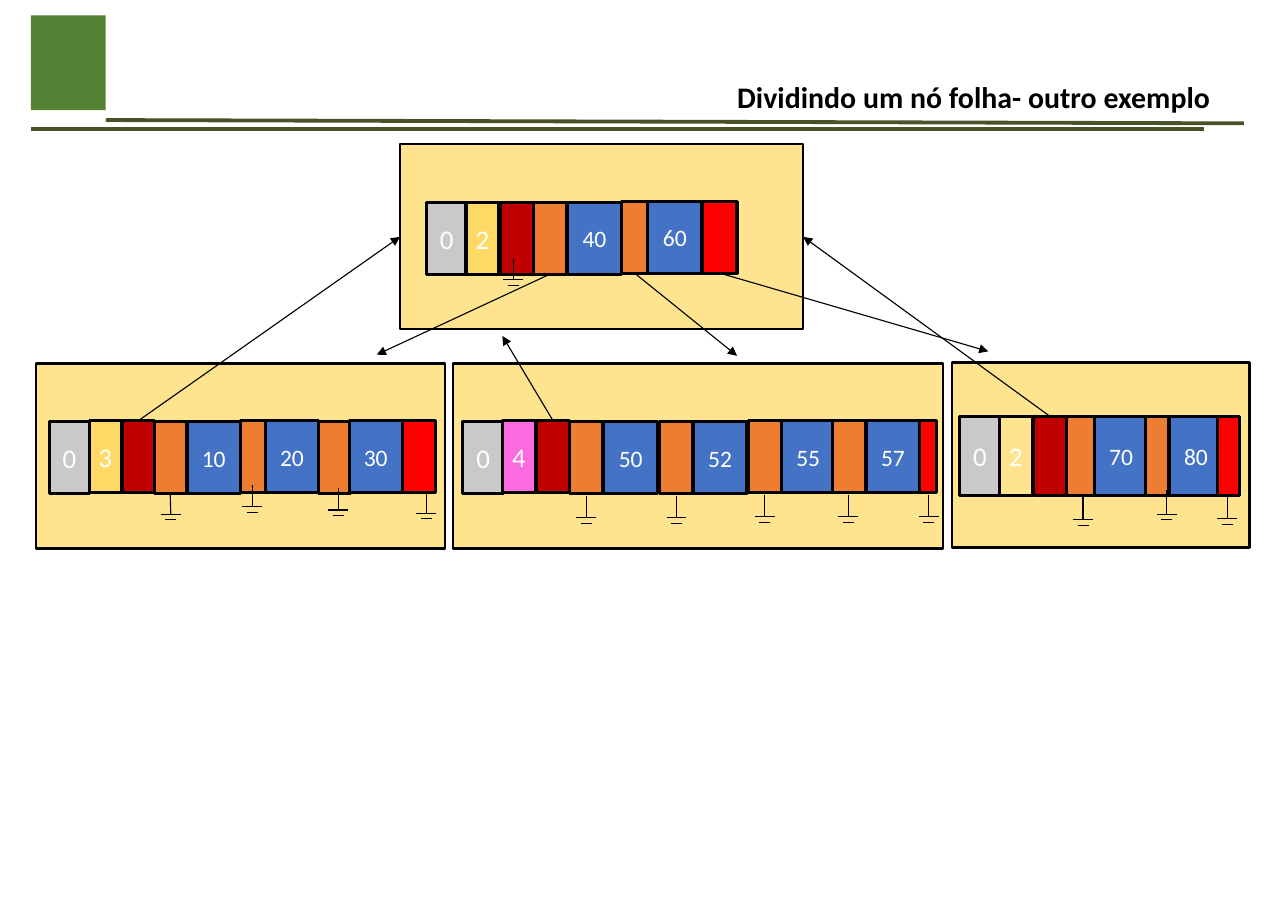
import pptx
import pptx.util
import pptx.dml.color
import pptx.enum.shapes
import pptx.enum.text
import pptx.oxml

Inches = pptx.util.Inches
Pt = pptx.util.Pt
RGBColor = pptx.dml.color.RGBColor
RECTANGLE = pptx.enum.shapes.MSO_SHAPE.RECTANGLE
STRAIGHT = pptx.enum.shapes.MSO_CONNECTOR.STRAIGHT
DRAWING_NAMESPACE = 'xmlns:a="http://schemas.openxmlformats.org/drawingml/2006/main"'

BLACK = RGBColor(0x00, 0x00, 0x00)
WHITE = RGBColor(0xFF, 0xFF, 0xFF)
RULE_OLIVE = RGBColor(0x48, 0x52, 0x28)
EMBLEM_GREEN = RGBColor(0x54, 0x82, 0x35)
PANEL_CREAM = RGBColor(0xFF, 0xE4, 0x8F)
LEVEL_GREY = RGBColor(0xC9, 0xC9, 0xC9)
COUNT_YELLOW = RGBColor(0xFF, 0xD9, 0x66)
COUNT_PINK = RGBColor(0xFC, 0x6A, 0xE0)
PARENT_RED = RGBColor(0xC0, 0x00, 0x00)
POINTER_ORANGE = RGBColor(0xED, 0x7D, 0x31)
KEY_BLUE = RGBColor(0x44, 0x72, 0xC4)
LAST_RED = RGBColor(0xFF, 0x00, 0x00)

TOP, LEFT, BOTTOM, RIGHT = range(4)

# Each node: box (left, top, width, height), cell height, ground stem length,
# cells (left, top, width, fill, text) and grounds (x, top, joined cell),
# all measured from the corner of the box.
ROOT = ((3.63, 1.31, 3.66, 1.68), 0.65, 0.2, [
    (0.24, 0.53, 0.37, LEVEL_GREY, "0"), (0.6, 0.53, 0.3, COUNT_YELLOW, "2"),
    (0.91, 0.53, 0.3, PARENT_RED, ""), (1.21, 0.53, 0.3, POINTER_ORANGE, ""),
    (1.52, 0.53, 0.49, KEY_BLUE, "40"), (2.01, 0.52, 0.24, POINTER_ORANGE, ""),
    (2.25, 0.52, 0.49, KEY_BLUE, "60"), (2.75, 0.52, 0.31, LAST_RED, ""),
], [(1.03, 1.03, None)])
LEFT_LEAF = ((0.33, 3.3, 3.71, 1.68), 0.65, 0.2, [
    (0.12, 0.53, 0.36, LEVEL_GREY, "0"), (0.48, 0.52, 0.29, COUNT_YELLOW, "3"),
    (0.78, 0.52, 0.29, PARENT_RED, ""), (1.07, 0.53, 0.29, POINTER_ORANGE, ""),
    (1.37, 0.53, 0.48, KEY_BLUE, "10"), (1.85, 0.52, 0.24, POINTER_ORANGE, ""),
    (2.08, 0.52, 0.48, KEY_BLUE, "20"), (2.56, 0.53, 0.29, POINTER_ORANGE, ""),
    (2.84, 0.52, 0.48, KEY_BLUE, "30"), (3.32, 0.52, 0.3, LAST_RED, ""),
], [(1.22, 1.17, 3), (1.96, 1.1, None), (2.74, 1.13, None), (3.54, 1.16, None)])
MIDDLE_LEAF = ((4.11, 3.3, 4.45, 1.68), 0.65, 0.2, [
    (0.09, 0.53, 0.37, LEVEL_GREY, "0"), (0.45, 0.52, 0.3, COUNT_PINK, "4"),
    (0.76, 0.52, 0.3, PARENT_RED, ""), (4.18, 0.52, 0.21, LAST_RED, ""),
    (1.06, 0.53, 0.3, POINTER_ORANGE, ""), (1.37, 0.53, 0.49, KEY_BLUE, "50"),
    (1.88, 0.53, 0.3, POINTER_ORANGE, ""), (2.18, 0.53, 0.49, KEY_BLUE, "52"),
    (2.68, 0.52, 0.3, POINTER_ORANGE, ""), (2.98, 0.52, 0.49, KEY_BLUE, "55"),
    (3.45, 0.52, 0.3, POINTER_ORANGE, ""), (3.75, 0.52, 0.49, KEY_BLUE, "57"),
], [(1.21, 1.2, None), (2.03, 1.2, None), (2.83, 1.19, None),
    (3.59, 1.19, None), (4.32, 1.19, None)])
RIGHT_LEAF = ((8.64, 3.29, 2.7, 1.68), 0.72, 0.22, [
    (0.07, 0.49, 0.37, LEVEL_GREY, "0"), (0.43, 0.49, 0.3, PANEL_CREAM, "2"),
    (0.74, 0.49, 0.3, PARENT_RED, ""), (1.04, 0.49, 0.3, POINTER_ORANGE, ""),
    (1.29, 0.49, 0.49, KEY_BLUE, "70"), (1.76, 0.49, 0.3, POINTER_ORANGE, ""),
    (1.97, 0.49, 0.49, KEY_BLUE, "80"), (2.41, 0.49, 0.2, LAST_RED, ""),
], [(1.19, 1.21, 3), (1.95, 1.16, None), (2.5, 1.2, None)])


def format_run(run, size, color, bold=False):
    run.font.name = "Calibri"
    run.font.size = Pt(size)
    run.font.color.rgb = color
    run.font.bold = bold


def add_rectangle(slide, left, top, width, height, fill, line_width=None):
    shape = slide.shapes.add_shape(
        RECTANGLE, Inches(left), Inches(top), Inches(width), Inches(height))
    shape.shadow.inherit = False
    shape.fill.solid()
    shape.fill.fore_color.rgb = fill
    if line_width is None:
        shape.line.fill.background()
    else:
        shape.line.color.rgb = BLACK
        shape.line.width = Pt(line_width)
    return shape


def add_line(slide, start, end, color=BLACK, width=0.75, arrow=False):
    """Each end is a point (x, y) in inches or a pair (shape, side)."""
    points = [(0, 0) if hasattr(place[0], "shape_id") else place for place in (start, end)]
    line = slide.shapes.add_connector(
        STRAIGHT, *[Inches(value) for point in points for value in point])
    if hasattr(start[0], "shape_id"):
        line.begin_connect(*start)
    if hasattr(end[0], "shape_id"):
        line.end_connect(*end)
    line.line.color.rgb = color
    line.line.width = Pt(width)
    properties = line.line._get_or_add_ln()
    if arrow:
        properties.append(pptx.oxml.parse_xml(
            f'<a:tailEnd {DRAWING_NAMESPACE} type="triangle"/>'))
    properties.addnext(pptx.oxml.parse_xml(f"<a:effectLst {DRAWING_NAMESPACE}/>"))


def add_cell(slide, left, top, width, height, fill, text):
    cell = add_rectangle(slide, left, top, width, height, fill, 2)
    if text:
        frame = cell.text_frame
        frame.margin_left = frame.margin_right = 0
        frame.vertical_anchor = pptx.enum.text.MSO_ANCHOR.MIDDLE
        paragraph = frame.paragraphs[0]
        paragraph.alignment = pptx.enum.text.PP_ALIGN.CENTER
        run = paragraph.add_run()
        run.text = text
        format_run(run, 15.4 if fill == KEY_BLUE else 17.6, WHITE)
    return cell


def add_ground(slide, x, top, stem, joined_cell=None):
    """Null pointer: a stem over two shrinking bars."""
    start = (joined_cell, BOTTOM) if joined_cell else (x, top)
    add_line(slide, start, (x, top + stem))
    for half_width, drop in ((0.09, 0), (0.05, 0.05)):
        y = top + stem + drop
        add_line(slide, (x - half_width, y), (x + half_width, y))


def add_node(slide, box, cell_height, stem, cells, grounds):
    left, top = box[:2]
    panel = add_rectangle(slide, *box, PANEL_CREAM, 1.5)
    shapes = [add_cell(slide, left + x, top + y, width, cell_height, fill, text)
              for x, y, width, fill, text in cells]
    for x, y, joined in grounds:
        joined_cell = None if joined is None else shapes[joined]
        add_ground(slide, left + x, top + y, stem, joined_cell)
    return panel, shapes


def add_header(slide, left, top, width, height):
    # Plain emblem block and the two rules
    add_rectangle(slide, left, top, 0.68, height - 0.17, EMBLEM_GREEN)
    add_line(slide, (left + 0.68, top + 0.95), (left + width, top + 0.98), RULE_OLIVE, 2.5)
    add_line(slide, (left, top + height), (left + 10.65, top + height), RULE_OLIVE, 2.5)
    # Title
    title = slide.shapes.title
    title.left, title.top = Inches(left + 5.76), Inches(top + 0.49)
    title.width, title.height = Inches(5.06), Inches(0.54)
    frame = title.text_frame
    frame.word_wrap = True
    frame.vertical_anchor = pptx.enum.text.MSO_ANCHOR.MIDDLE
    frame.margin_left = frame.margin_right = Inches(0.11)
    frame.margin_top = frame.margin_bottom = Inches(0.06)
    paragraph = frame.paragraphs[0]
    paragraph.alignment = pptx.enum.text.PP_ALIGN.RIGHT
    paragraph.line_spacing = 0.9
    run = paragraph.add_run()
    run.text = "Dividindo um nó folha- outro exemplo"
    format_run(run, 19.5, BLACK, bold=True)


def add_tree(slide):
    # Nodes
    root, root_cells = add_node(slide, *ROOT)
    left_cells, middle_cells, right_cells = [
        add_node(slide, *leaf)[1] for leaf in (LEFT_LEAF, MIDDLE_LEAF, RIGHT_LEAF)]
    # Arrows from the root down to the leaves, then from the leaves to their parent
    for start, end in (
            ((root_cells[3], BOTTOM), (3.42, 3.22)),
            ((root_cells[5], BOTTOM), (6.69, 3.23)),
            ((root_cells[7], BOTTOM), (8.97, 3.19)),
            ((left_cells[2], TOP), (root, LEFT)),
            ((middle_cells[2], TOP), (4.56, 3.05)),
            ((right_cells[2], TOP), (root, RIGHT))):
        add_line(slide, start, end, arrow=True)


def main():
    presentation = pptx.Presentation()
    presentation.slide_width = Inches(11.69)
    presentation.slide_height = Inches(8.27)
    slide = presentation.slides.add_slide(presentation.slide_layouts[5])
    add_header(slide, 0.28, 0.14, 11.01, 1.03)
    add_tree(slide)
    presentation.save("out.pptx")


if __name__ == "__main__":
    main()
